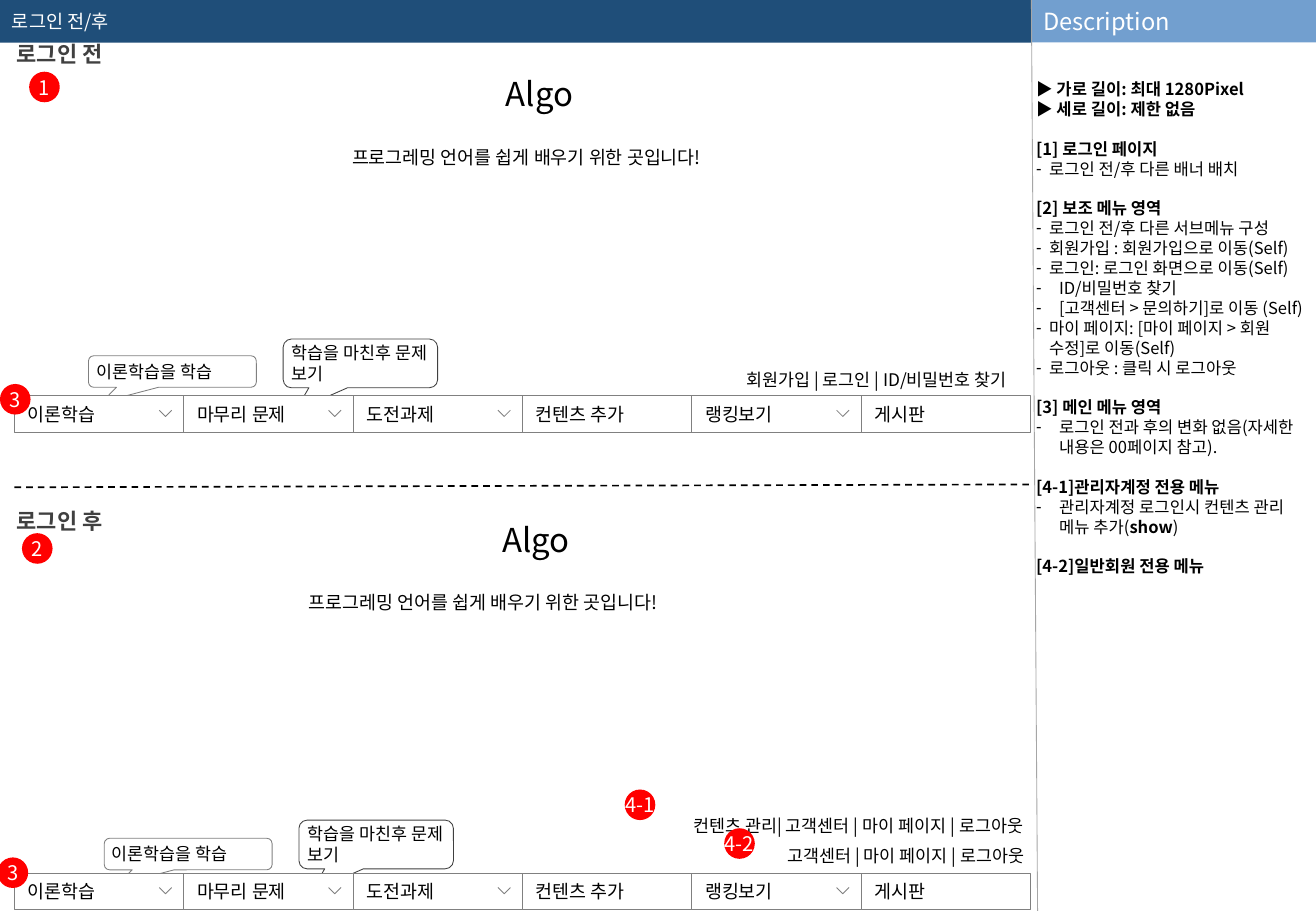
import pptx
import pptx.util
import pptx.dml.color
import pptx.enum.dml
import pptx.enum.shapes
import pptx.enum.text
import pptx.oxml
import pptx.oxml.ns

Cm = pptx.util.Cm
Pt = pptx.util.Pt
Color = pptx.dml.color.RGBColor.from_string
Align = pptx.enum.text.PP_ALIGN
Anchor = pptx.enum.text.MSO_ANCHOR
Shape = pptx.enum.shapes.MSO_SHAPE
qn = pptx.oxml.ns.qn


class Theme:
    font = "Noto Sans CJK KR"
    white = "FFFFFF"
    black = "000000"
    navy = "1F4E79"
    blue = "729FCF"
    red = "FF0000"
    dark = "404040"
    gray = "808080"
    light = "A6A6A6"
    logo = 19.5
    panel = 14
    state = 13
    badge = 11.9
    header = 11
    menu = 10.9
    small = 10.3
    note = 9.8
    note_line = 11.8


def style_text(frame, size, color, align=Align.LEFT, bold=False, insets=(0.25, 0.13),
               anchor=Anchor.MIDDLE, wrap=True):
    frame.auto_size = pptx.enum.text.MSO_AUTO_SIZE.NONE
    frame.word_wrap = wrap
    frame.vertical_anchor = anchor
    frame.margin_left = frame.margin_right = Cm(insets[0])
    frame.margin_top = frame.margin_bottom = Cm(insets[1])
    for para in frame.paragraphs:
        para.alignment = align
        for span in para.runs:
            span.font.size = Pt(size)
            span.font.bold = bold
            span.font.name = Theme.font
            span.font.color.rgb = Color(color)
            east = span.font._element.makeelement(qn("a:ea"), {"typeface": Theme.font})
            span.font._element.find(qn("a:latin")).addnext(east)


def add_box(kind, place, text, fill=None, line=None):
    place = [Cm(value) for value in place]
    if kind is None:
        box = page.shapes.add_textbox(*place)
    else:
        box = page.shapes.add_shape(kind, *place)
        box.shadow.inherit = False
        box.fill.solid()
        box.fill.fore_color.rgb = Color(fill)
        if line:
            box.line.color.rgb = Color(line)
            box.line.width = Pt(0.5)
        else:
            box.line.fill.background()
    box.text_frame.text = text
    return box


deck = pptx.Presentation()
deck.slide_width = Cm(27.51)
deck.slide_height = Cm(19.05)
page = deck.slides.add_slide(deck.slide_layouts[1])

title = page.shapes.title
title.left, title.top, title.width, title.height = Cm(0), Cm(0), Cm(21.56), Cm(0.89)
title.fill.solid()
title.fill.fore_color.rgb = Color(Theme.navy)
title.text_frame.text = "로그인 전/후"
style_text(title.text_frame, Theme.header, Theme.white)

panel = add_box(Shape.RECTANGLE, (21.56, 0, 5.95, 0.89), "Description", Theme.blue)
style_text(panel.text_frame, Theme.panel, Theme.white)

notes = [
    ("head", "▶ 가로 길이: 최대 1280Pixel"),
    ("head", "▶ 세로 길이: 제한 없음"),
    ("section", "[1] 로그인 페이지"),
    ("item", "로그인 전/후 다른 배너 배치"),
    ("section", "[2] 보조 메뉴 영역"),
    ("item", "로그인 전/후 다른 서브메뉴 구성"),
    ("item", "회원가입 : 회원가입으로 이동(Self)"),
    ("item", "로그인: 로그인 화면으로 이동(Self)"),
    ("wide item", "ID/비밀번호 찾기"),
    ("wide item", "[고객센터 > 문의하기]로 이동 (Self)"),
    ("item", "마이 페이지: [마이 페이지 > 회원\v수정]로 이동(Self)"),
    ("item", "로그아웃 : 클릭 시 로그아웃"),
    ("section", "[3] 메인 메뉴 영역"),
    ("wide item", "로그인 전과 후의 변화 없음(자세한 내용은 00페이지 참고)."),
    ("section", "[4-1]관리자계정 전용 메뉴"),
    ("wide item", "관리자계정 로그인시 컨텐츠 관리 메뉴 추가(", "show", ")"),
    ("section", "[4-2]일반회원 전용 메뉴"),
]
hanging = {"head": 0, "section": 0, "item": 0.27, "wide item": 0.48}
body = page.placeholders[1]
body.left, body.top, body.width, body.height = Cm(21.56), Cm(0.89), Cm(5.95), Cm(18.14)
frame = body.text_frame
for number, (kind, text, *rest) in enumerate(notes):
    para = frame.paragraphs[0] if number == 0 else frame.add_paragraph()
    para.text = text
    for part in rest:
        para.add_run().text = part
    para.line_spacing = Pt(Theme.note_line)
    para.space_before = Pt(Theme.note_line if kind == "section" else 0)
    para.space_after = Pt(0)
    settings = para._p.get_or_add_pPr()
    settings.set("marL", str(Cm(hanging[kind])))
    settings.set("indent", str(-Cm(hanging[kind])))
    if hanging[kind]:
        pptx.oxml.ns.qn
        settings.append(settings.makeelement(qn("a:buChar"), {"char": "-"}))
    else:
        settings.append(settings.makeelement(qn("a:buNone"), {}))
style_text(frame, Theme.note, Theme.black, insets=(0.1, 0), anchor=Anchor.TOP)
frame.margin_top = Cm(0.76)
for para, (kind, text, *rest) in zip(frame.paragraphs, notes):
    for span in para.runs:
        span.font.bold = hanging[kind] == 0 or span.text in rest[:1]

callouts = [
    ((5.92, 7.09, 3.23, 1.02), "학습을 마친후 문제 보기", Theme.dark),
    ((6.25, 17.15, 3.23, 1.02), "학습을 마친후 문제 보기", Theme.dark),
    ((1.85, 7.44, 3.51, 0.66), "이론학습을 학습", Theme.gray),
    ((2.18, 17.53, 3.51, 0.66), "이론학습을 학습", Theme.gray),
]
for place, text, line in callouts:
    callout = add_box(Shape.ROUNDED_RECTANGULAR_CALLOUT, place, text, Theme.white, line)
    for index, value in enumerate((-0.42, 0.97, 0.17)):
        callout.adjustments[index] = value
    style_text(callout.text_frame, Theme.small, Theme.black, insets=(0.13, 0.13))

slogan = "프로그레밍 언어를 쉽게 배우기 위한 곳입니다!"
labels = [
    ((0, 0.71, 2.49, 0.79), "로그인 전", Theme.state, Theme.dark, Align.CENTER),
    ((0, 10.49, 2.49, 0.79), "로그인 후", Theme.state, Theme.dark, Align.CENTER),
    ((7.85, 1.42, 6.86, 1.07), "Algo", Theme.logo, Theme.black, Align.CENTER),
    ((9.04, 10.74, 4.34, 1.07), "Algo", Theme.logo, Theme.black, Align.CENTER),
    ((7.11, 2.92, 8.53, 0.71), slogan, Theme.menu, Theme.black, Align.LEFT),
    ((6.2, 12.24, 10.41, 0.71), slogan, Theme.menu, Theme.black, Align.LEFT),
]
for place, text, size, color, align in labels:
    label = add_box(None, place, text)
    style_text(label.text_frame, size, color, align, size == Theme.state, anchor=Anchor.TOP)

submenus = [
    ((11.3, 7.37, 10, 0.69), "회원가입 | 로그인 | ID/비밀번호 찾기"),
    ((9.6, 16.69, 12.04, 0.69), "컨텐츠 관리| 고객센터 | 마이 페이지 | 로그아웃"),
    ((9.63, 17.32, 12.04, 0.69), "고객센터 | 마이 페이지 | 로그아웃"),
]
for place, text in submenus:
    submenu = add_box(None, place, text)
    style_text(submenu.text_frame, Theme.small, Theme.black, Align.RIGHT, anchor=Anchor.TOP)
    submenu.text_frame.paragraphs[0].line_spacing = 1.5

menu = ["이론학습", "마무리 문제", "도전과제", "컨텐츠 추가", "랭킹보기", "게시판"]
dropdowns = {"이론학습", "마무리 문제", "도전과제", "랭킹보기"}
cell_width = 3.54
for top in (8.28, 18.26):
    for column, name in enumerate(menu):
        left = 0.3 + column * cell_width
        cell = add_box(Shape.RECTANGLE, (left, top, cell_width, 0.76), name,
                       Theme.white, Theme.gray)
        style_text(cell.text_frame, Theme.menu, Theme.black, insets=(0.28, 0.13))
        if name in dropdowns:
            x, y = left + 3.03, top + 0.3
            outline = page.shapes.build_freeform(Cm(x), Cm(y))
            outline.add_line_segments([(Cm(x + 0.13), Cm(y + 0.13)), (Cm(x + 0.26), Cm(y))],
                                      close=False)
            chevron = outline.convert_to_shape()
            chevron.shadow.inherit = False
            chevron.fill.background()
            chevron.line.color.rgb = Color(Theme.gray)
            chevron.line.width = Pt(0.5)

dividers = [
    ((0.3, 10.19, 21.54, 10.13), Theme.black, 1, pptx.enum.dml.MSO_LINE.DASH),
    ((21.56, 0, 21.69, 19.05), Theme.light, 0.5, pptx.enum.dml.MSO_LINE.SOLID),
]
for ends, color, width, dash in dividers:
    divider = page.shapes.add_connector(pptx.enum.shapes.MSO_CONNECTOR.STRAIGHT,
                                        *[Cm(value) for value in ends])
    divider.line.color.rgb = Color(color)
    divider.line.width = Pt(width)
    divider.line.dash_style = dash
    properties = divider._element.spPr
    properties.append(properties.makeelement(qn("a:effectLst"), {}))

badges = [("1", 0.61, 1.5), ("2", 0.46, 11.15), ("3", 0, 8.03), ("3", -0.05, 17.93),
          ("4-1", 13.06, 16.51), ("4-2", 15.14, 17.32)]
for text, left, top in badges:
    badge = add_box(Shape.OVAL, (left, top, 0.64, 0.64), text, Theme.red)
    style_text(badge.text_frame, Theme.badge, Theme.white, Align.CENTER, insets=(0, 0), wrap=False)

deck.save("out.pptx")
